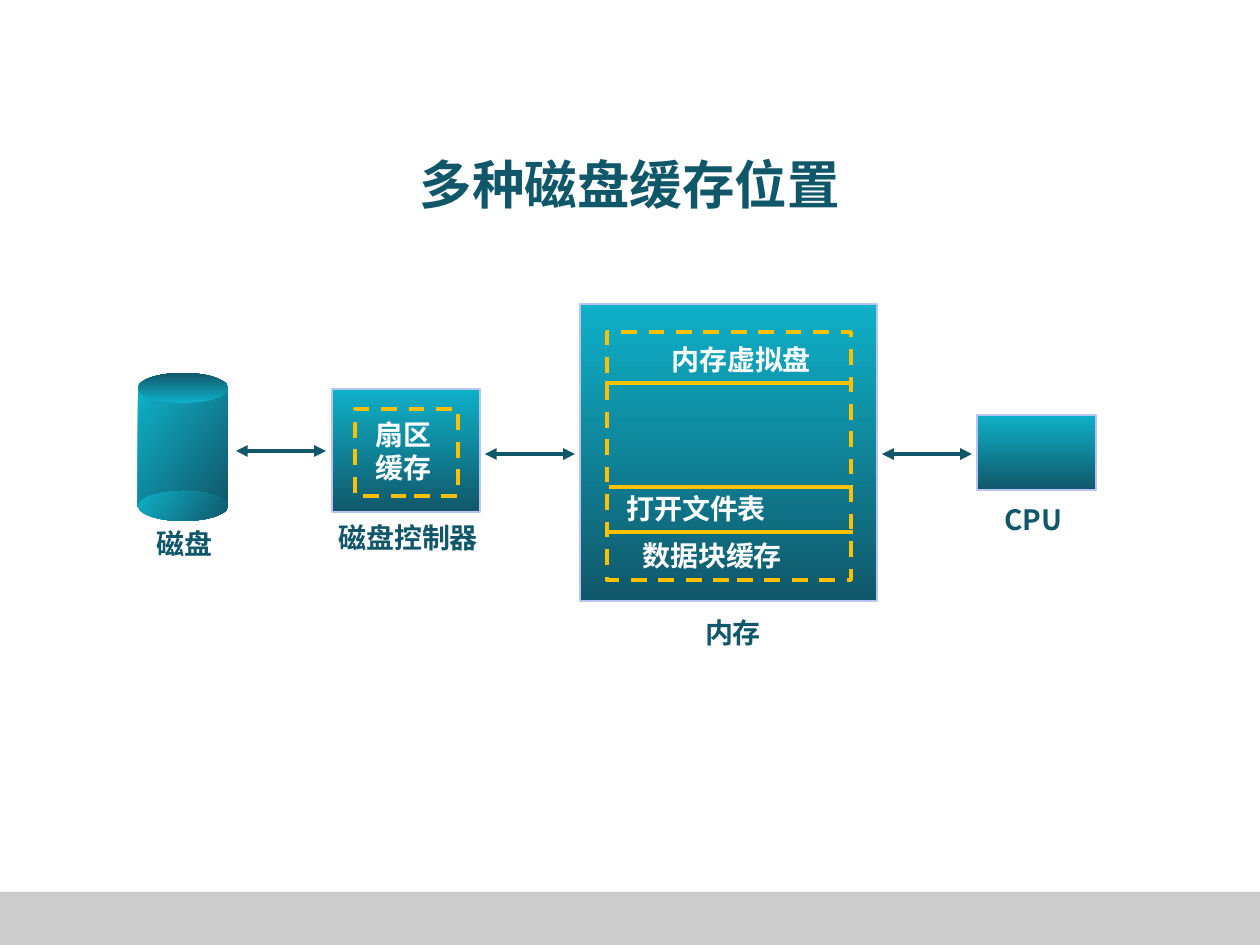
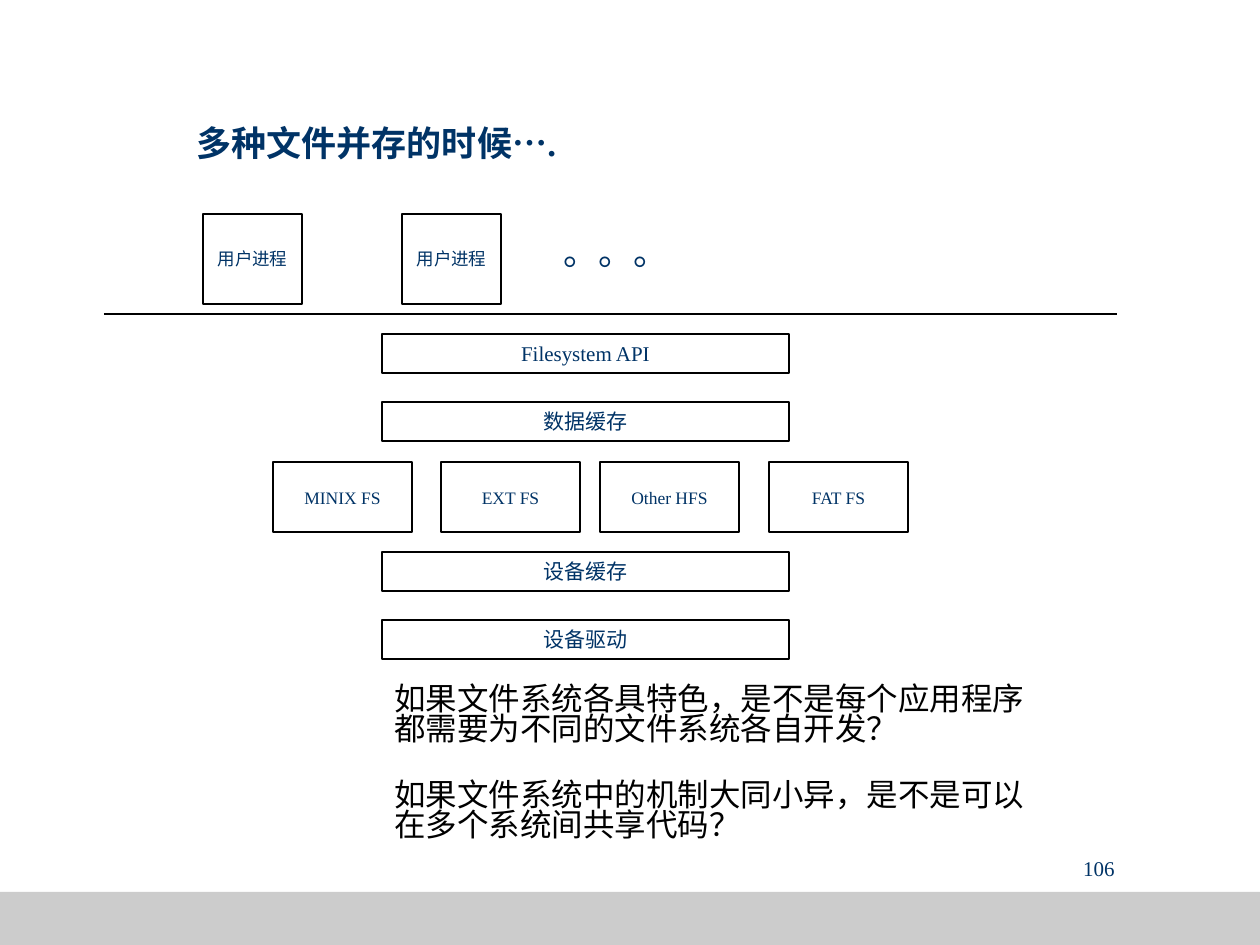
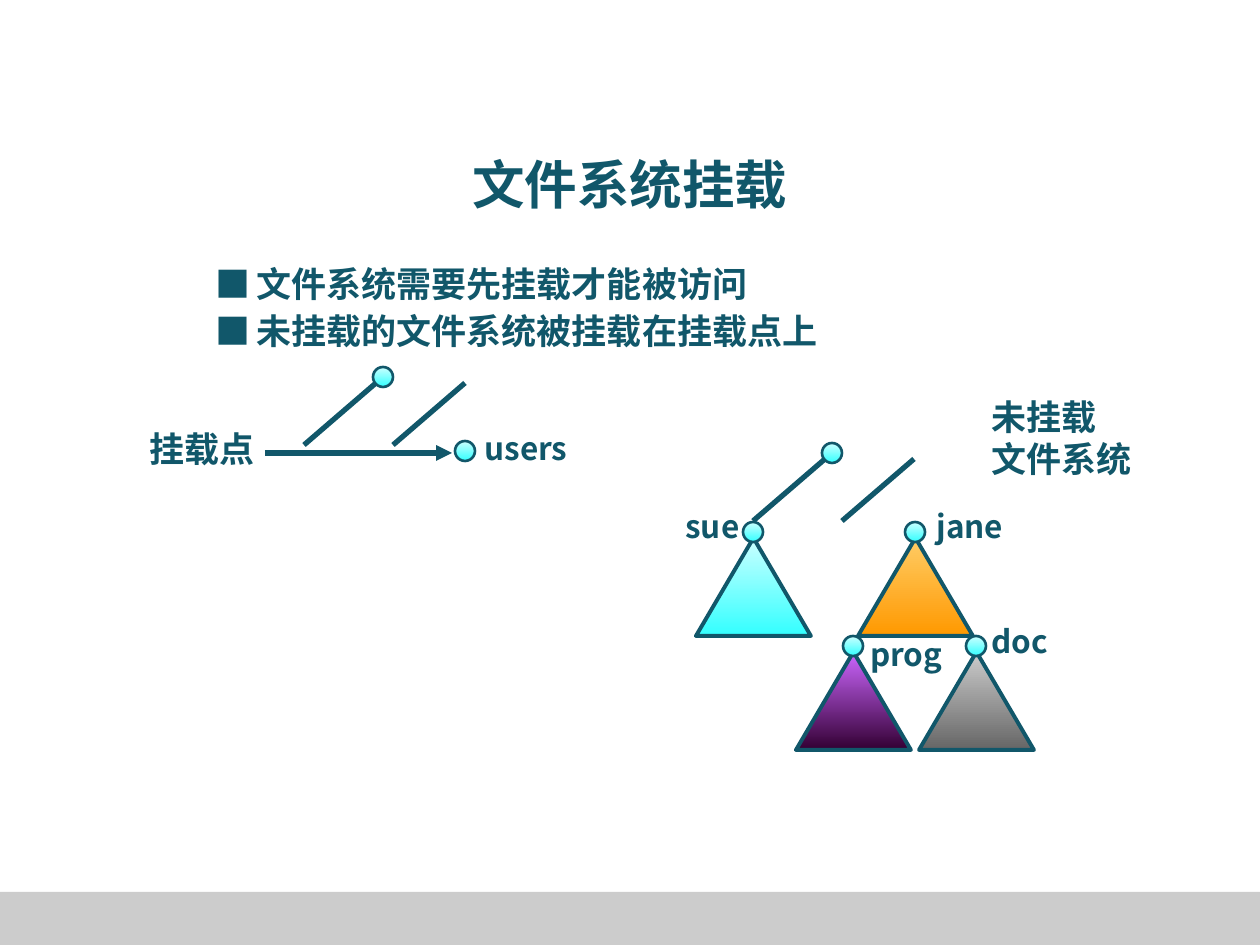
from lxml import etree
from pptx import Presentation
from pptx.dml.color import RGBColor
from pptx.enum.dml import MSO_LINE
from pptx.enum.shapes import MSO_CONNECTOR, MSO_SHAPE
from pptx.enum.text import MSO_ANCHOR, MSO_AUTO_SIZE, PP_ALIGN
from pptx.oxml.ns import qn
from pptx.util import Emu, Pt

SCALE = 914400 / 126
RECT, OVAL, PEAK = MSO_SHAPE.RECTANGLE, MSO_SHAPE.OVAL, MSO_SHAPE.ISOSCELES_TRIANGLE
LEFT, MID, RIGHT = PP_ALIGN.LEFT, PP_ALIGN.CENTER, PP_ALIGN.RIGHT
TOP, CENTER = MSO_ANCHOR.TOP, MSO_ANCHOR.MIDDLE
FIXED, DASH, STRAIGHT = MSO_AUTO_SIZE.NONE, MSO_LINE.DASH, MSO_CONNECTOR.STRAIGHT

TEAL, NAVY, GOLD, WHITE, BLACK = "11576A", "003366", "FFC000", "FFFFFF", "000000"
GRAY, PALE = "CCCCCC", "BAC4F2"
SEA, AQUA = ("0EB1C8", TEAL), ("CCFFFF", "33FFFF")
SANS, SERIF = "Noto Sans CJK SC", "Times New Roman"

HEAD = {"name": SANS, "size": Pt(30), "bold": True, "color": TEAL}
ITEM = {**HEAD, "size": Pt(20)}
NAME = {**HEAD, "size": Pt(18)}
PART = {**HEAD, "size": Pt(16)}
INNER = {**PART, "color": WHITE}
MARK = {**ITEM, "name": "Noto Sans CJK JP"}
PLAIN = {"name": SERIF, "size": Pt(12), "bold": False, "color": NAVY}
SMALL = {**PLAIN, "size": Pt(10)}
LARGE = {**PLAIN, "size": Pt(20)}
BODY = {"name": "DejaVu Sans", "size": Pt(18), "bold": False, "color": BLACK}


def px(*vals):
    """Turn pixels into EMU."""
    return [Emu(round(val * SCALE)) for val in vals]


def rgb(code):
    """Turn a hex string into a colour."""
    return RGBColor.from_string(code)


def apply(obj, vals):
    """Set each value as an attribute."""
    for key, val in vals.items():
        setattr(obj, key, val)


def write(shape, words, look, align=LEFT, wrap=True, anchor=TOP, space=None):
    """Fill a shape with formatted words."""
    frame = shape.text_frame
    frame.text = words
    apply(frame, {"word_wrap": wrap, "vertical_anchor": anchor, "auto_size": FIXED})
    for para in frame.paragraphs:
        apply(para, {"alignment": align, "line_spacing": space})
        for run in para.runs:
            apply(run.font, {key: val for key, val in look.items() if key != "color"})
            run.font.color.rgb = rgb(look["color"])
    east = look["name"] if look["name"].startswith("Noto") else SANS
    for props in shape.element.iter(qn("a:rPr")):
        etree.SubElement(props, qn("a:ea")).set("typeface", east)


def label(slide, box, words, look, **form):
    """Add a text box."""
    write(slide.shapes.add_textbox(*px(*box)), words, look, **form)


def title(slide, box, words, look, align):
    """Place and fill the title."""
    head = slide.shapes.title
    apply(head, dict(zip(("left", "top", "width", "height"), px(*box))))
    write(head, words, look, align)


def pen(line, color, width):
    """Set the colour and width of a line."""
    line.color.rgb = rgb(color)
    line.width = Pt(width)


def block(slide, kind, box, fill=None, edge=None, width=0.75, angle=90):
    """Add a shape with no fill, a flat fill or a gradient."""
    shape = slide.shapes.add_shape(kind, *px(*box))
    shape.shadow.inherit = False
    if fill is None:
        shape.fill.background()
    elif isinstance(fill, str):
        shape.fill.solid()
        shape.fill.fore_color.rgb = rgb(fill)
    else:
        shape.fill.gradient()
        shape.fill.gradient_angle = 360 - angle
        for stop, code in zip(shape.fill.gradient_stops, fill):
            stop.color.rgb = rgb(code)
    if edge:
        pen(shape.line, edge, width)
    else:
        shape.line.fill.background()
    return shape


def dashed(slide, box):
    """Add a dashed frame."""
    block(slide, RECT, box, None, GOLD, 2.25).line.dash_style = DASH


def boxed(slide, box, words, look):
    """Add an outlined box with centred words."""
    shape = block(slide, RECT, box, None, BLACK, 1)
    write(shape, words, look, MID, False, CENTER)


def link(slide, ends, color, width, *tips):
    """Add a line with arrowheads at the named tips."""
    line = slide.shapes.add_connector(STRAIGHT, *px(*ends))
    pen(line.line, color, width)
    stroke = line.line._get_or_add_ln()
    for tip in tips:
        etree.SubElement(stroke, qn(f"a:{tip}")).set("type", "triangle")
    etree.SubElement(line.element.spPr, qn("a:effectLst"))


def dot(slide, left, top):
    """Add a tree node."""
    block(slide, OVAL, (left, top, 20, 20), AQUA, TEAL, 1.5)


def fork(slide, left, top):
    """Add a root node with its two branches."""
    dot(slide, left, top)
    for start in (left + 3, left + 92):
        link(slide, (start, top + 16, start - 72, top + 78), TEAL, 3)


def tree(slide, left, top, fill):
    """Add a subtree under its node."""
    block(slide, PEAK, (left - 47, top + 16, 115, 98), fill, TEAL, 2.25)
    dot(slide, left, top)


def caches(slide):
    """Draw the places of the disk cache."""
    title(slide, (63, 146, 1134, 71), "多种磁盘缓存位置", HEAD, MID)
    for box in ((580, 304, 297, 297), (977, 415, 119, 75), (332, 389, 148, 123)):
        block(slide, RECT, box, SEA, PALE)
    for box in ((607, 332, 244, 248), (355, 409, 103, 87)):
        dashed(slide, box)
    for left, top in ((605, 383), (609, 487), (609, 532)):
        link(slide, (left, top, left + 244, top), GOLD, 2.25)
    for left, top in ((236, 451), (485, 454), (882, 454)):
        link(slide, (left, top, left + 90, top), TEAL, 2.25, "headEnd", "tailEnd")
    for kind, top, high, angle in ((RECT, 389, 118, 36), (OVAL, 491, 30, 36),
                                   (OVAL, 373, 30, 270)):
        block(slide, kind, (138, top, 90, high), SEA, angle=angle)
    for box, words in (((659, 336, 179, 49), "内存虚拟盘"),
                       ((614, 485, 277, 49), "打开文件表"),
                       ((630, 532, 218, 49), "数据块缓存"),
                       ((363, 411, 105, 79), "扇区\n缓存")):
        label(slide, box, words, INNER)
    for box, words in (((144, 520, 89, 49), "磁盘"),
                       ((326, 514, 169, 49), "磁盘控制器"),
                       ((992, 496, 89, 49), "CPU")):
        label(slide, box, words, PART)
    label(slide, (609, 609, 248, 49), "内存", PART, align=MID)


def layers(slide):
    """Draw the layers of several file systems."""
    title(slide, (184, 115, 764, 55), "多种文件并存的时候….", {**LARGE, "bold": True}, LEFT)
    link(slide, (104, 314, 1117, 314), BLACK, 1)
    for left in (203, 402):
        boxed(slide, (left, 214, 99, 90), "用户进程", SMALL)
    label(slide, (551, 224, 318, 63), "。。。", LARGE)
    label(slide, (968, 849, 159, 63), "106", PLAIN, align=RIGHT)
    for left, words in ((273, "MINIX FS"), (441, "EXT FS"),
                        (600, "Other HFS"), (769, "FAT FS")):
        boxed(slide, (left, 462, 139, 70), words, SMALL)
    for top, words in ((334, "Filesystem API"), (402, "数据缓存"),
                       (552, "设备缓存"), (620, "设备驱动")):
        boxed(slide, (382, top, 407, 39), words, PLAIN)
    for top, words in (
            (680, "如果文件系统各具特色，是不是每个应用程序都需要为不同的文件系统各自开发？"),
            (776, "如果文件系统中的机制大同小异，是不是可以在多个系统间共享代码？")):
        label(slide, (382, top, 665, 74), words, BODY, space=0.8)


def mounts(slide):
    """Draw the mount point and the trees."""
    title(slide, (63, 146, 1134, 71), "文件系统挂载", HEAD, MID)
    for top, words in ((256, "文件系统需要先挂载才能被访问"),
                       (303, "未挂载的文件系统被挂载在挂载点上")):
        label(slide, (203, top, 59, 55), "■", MARK)
        label(slide, (244, top, 689, 59), words, ITEM)
    label(slide, (137, 421, 131, 55), "挂载点", ITEM, wrap=False)
    label(slide, (979, 389, 166, 97), "未挂载\n文件系统", ITEM)
    link(slide, (265, 453, 452, 453), TEAL, 3, "tailEnd")
    for left, top, fill in ((905, 522, ("FFCC66", "FF9900")),
                            (843, 636, ("CC66FF", "330033")),
                            (966, 636, (GRAY, "666666")),
                            (743, 522, AQUA)):
        tree(slide, left, top, fill)
    for left, top in ((822, 443), (373, 367)):
        fork(slide, left, top)
    dot(slide, 455, 441)
    for left, top, wide, words in ((673, 501, 81, "sue"), (924, 501, 92, "jane"),
                                   (858, 629, 102, "prog"), (979, 616, 84, "doc"),
                                   (472, 423, 110, "users")):
        label(slide, (left, top, wide, 50), words, NAME, wrap=False)


def main():
    """Build and save the slides."""
    deck = Presentation()
    apply(deck, dict(zip(("slide_width", "slide_height"), px(1260, 945))))
    slides = [deck.slides.add_slide(deck.slide_layouts[5]) for _ in range(3)]
    band = block(slides[0], RECT, (0, 892, 1260, 53), GRAY)
    deck.slide_master.shapes.element.append(band.element)
    for draw, slide in zip((caches, layers, mounts), slides):
        draw(slide)
    deck.save("out.pptx")


if __name__ == "__main__":
    main()
